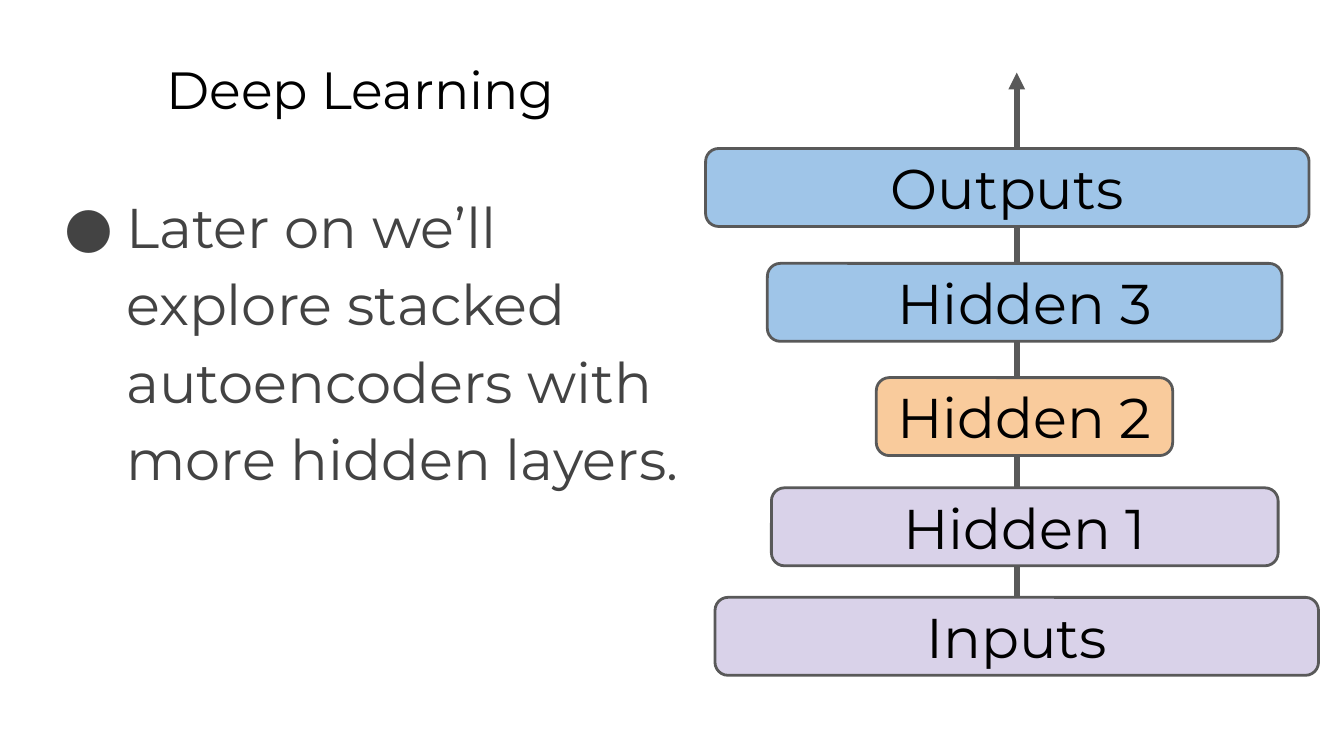
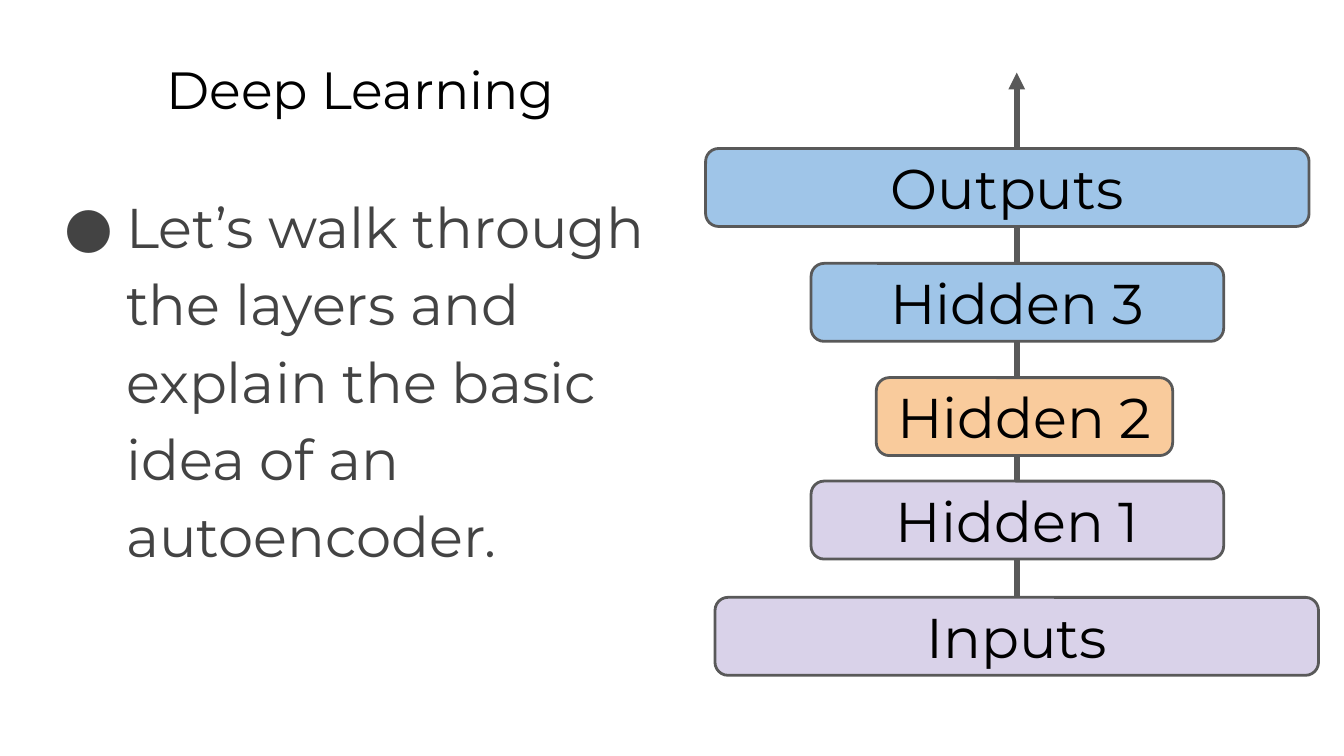
from dataclasses import dataclass

from lxml import etree
from pptx import Presentation
from pptx import util as u
from pptx.dml import color
from pptx.enum import shapes, text
from pptx.oxml import ns

EMU_PER_PX = 4572  # 200 px to the inch


def px(length: int) -> int:
    return length * EMU_PER_PX


# Theme
@dataclass(frozen=True)
class Theme:
    font: str = "Montserrat"
    title_color: str = "000000"
    body_color: str = "434343"
    outline: str = "595959"
    decoder: str = "9FC5E8"
    code: str = "F9CB9C"
    encoder: str = "D9D2E9"
    title_size: int = 28
    body_size: int = 30
    outline_width: float = 1.5
    arrow_width: float = 3


THEME = Theme()
SLIDE_WIDTH, SLIDE_HEIGHT = 2000, 1125
LAYER_HEIGHT = 116
ARROW_TIP = 108
INSET = 20
BULLET_MARGIN, BULLET_INDENT = 100, -92


@dataclass(frozen=True)
class Layer:
    label: str
    left: int
    top: int
    width: int
    fill: str

    @property
    def center(self) -> int:
        return self.left + self.width // 2


@dataclass(frozen=True)
class LayerSlide:
    message: str
    hidden_1: Layer
    hidden_3: Layer


# Layers that are the same on every slide
INPUTS = Layer("Inputs", 1064, 889, 898, THEME.encoder)
HIDDEN_2 = Layer("Hidden 2", 1304, 562, 441, THEME.code)
OUTPUTS = Layer("Outputs", 1050, 221, 898, THEME.decoder)

SLIDES = [
    LayerSlide(
        "Later on we’ll explore stacked autoencoders with more hidden layers.",
        Layer("Hidden 1", 1148, 726, 754, THEME.encoder),
        Layer("Hidden 3", 1142, 392, 766, THEME.decoder),
    ),
    LayerSlide(
        "Let’s walk through the layers and explain the basic idea of an autoencoder.",
        Layer("Hidden 1", 1207, 716, 614, THEME.encoder),
        Layer("Hidden 3", 1207, 392, 614, THEME.decoder),
    ),
]


# Drawing functions
def rgb(value: str) -> color.RGBColor:
    return color.RGBColor.from_string(value)


def write(shape, wording: str, size: int, font_color: str):
    """Fill a shape with one styled paragraph and return that paragraph."""
    frame = shape.text_frame
    frame.word_wrap = True
    frame.margin_left = frame.margin_right = px(INSET)
    frame.margin_top = frame.margin_bottom = px(INSET)
    frame.text = wording
    paragraph = frame.paragraphs[0]
    for run in paragraph.runs:
        run.font.name = THEME.font
        run.font.size = u.Pt(size)
        run.font.color.rgb = rgb(font_color)
    return paragraph


def add_title(slide, wording: str) -> None:
    box = slide.shapes.add_textbox(px(228), px(65), px(1704), px(126))
    write(box, wording, THEME.title_size, THEME.title_color)


def add_bullet(slide, wording: str) -> None:
    box = slide.shapes.add_textbox(px(68), px(252), px(964), px(748))
    paragraph = write(box, wording, THEME.body_size, THEME.body_color)
    paragraph.line_spacing = 1.15
    properties = paragraph._p.get_or_add_pPr()
    properties.set("marL", str(px(BULLET_MARGIN)))
    properties.set("indent", str(px(BULLET_INDENT)))
    bullet_color = etree.SubElement(properties, ns.qn("a:buClr"))
    etree.SubElement(bullet_color, ns.qn("a:srgbClr"), val=THEME.body_color)
    etree.SubElement(properties, ns.qn("a:buFont"), typeface=THEME.font)
    etree.SubElement(properties, ns.qn("a:buChar"), char="●")


def add_arrow(slide, x: int, bottom: int, top: int):
    arrow = slide.shapes.add_connector(
        shapes.MSO_CONNECTOR.STRAIGHT, px(x), px(bottom), px(x), px(top)
    )
    arrow.line.color.rgb = rgb(THEME.outline)
    arrow.line.width = u.Pt(THEME.arrow_width)
    line = arrow.line._get_or_add_ln()
    etree.SubElement(line, ns.qn("a:tailEnd"), type="triangle")
    etree.SubElement(arrow._element.spPr, ns.qn("a:effectLst"))
    return arrow


def add_layer(slide, layer: Layer):
    shape = slide.shapes.add_shape(
        shapes.MSO_SHAPE.ROUNDED_RECTANGLE,
        px(layer.left), px(layer.top), px(layer.width), px(LAYER_HEIGHT),
    )
    shape.shadow.inherit = False
    shape.fill.solid()
    shape.fill.fore_color.rgb = rgb(layer.fill)
    shape.line.color.rgb = rgb(THEME.outline)
    shape.line.width = u.Pt(THEME.outline_width)
    paragraph = write(shape, layer.label, THEME.body_size, THEME.title_color)
    paragraph.alignment = text.PP_ALIGN.CENTER
    shape.text_frame.vertical_anchor = text.MSO_ANCHOR.MIDDLE
    return shape


def add_layer_slide(presentation, content: LayerSlide) -> None:
    slide = presentation.slides.add_slide(presentation.slide_layouts[6])
    # The arrow lies behind the layers and starts under the inputs
    arrow = add_arrow(slide, INPUTS.center, INPUTS.top + LAYER_HEIGHT, ARROW_TIP)
    add_title(slide, "Deep Learning")
    add_bullet(slide, content.message)
    arrow.begin_connect(add_layer(slide, INPUTS), 2)
    for layer in (content.hidden_1, HIDDEN_2, content.hidden_3, OUTPUTS):
        add_layer(slide, layer)


def main() -> None:
    presentation = Presentation()
    presentation.slide_width = px(SLIDE_WIDTH)
    presentation.slide_height = px(SLIDE_HEIGHT)
    for content in SLIDES:
        add_layer_slide(presentation, content)
    presentation.save("out.pptx")


if __name__ == "__main__":
    main()
